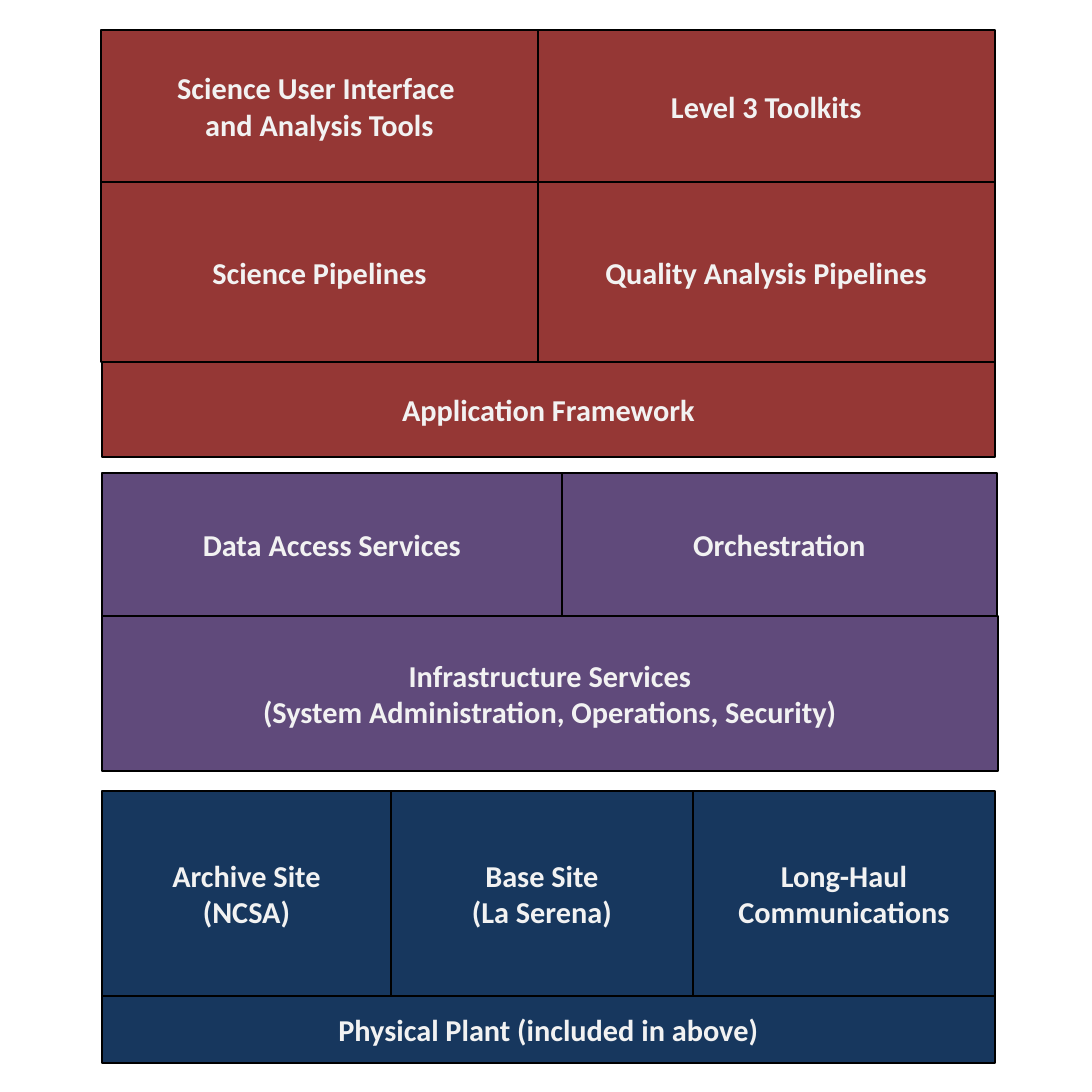
import pptx
import pptx.util
import pptx.dml.color
import pptx.enum.shapes
import pptx.enum.text

SCALE = 914400 / 182  # EMU per px
RED, PURPLE, BLUE = "953735", "604A7B", "17375E"


def px(n):
    return pptx.util.Emu(round(n * SCALE))


def color(code):
    return pptx.dml.color.RGBColor.from_string(code)


deck = pptx.Presentation()
deck.slide_width = deck.slide_height = px(1092)
slide = deck.slides.add_slide(deck.slide_layouts[6])

# Each row: fill, top, bottom, box edges from left to right, labels
rows = [
    # Applications
    (RED, 30, 182, [101, 538, 995],
     ["Science User Interface \nand Analysis Tools", "Level 3 Toolkits"]),
    (RED, 182, 362, [101, 538, 995],
     ["Science Pipelines", "Quality Analysis Pipelines"]),
    (RED, 362, 457, [102, 995], ["Application Framework"]),
    # Middleware
    (PURPLE, 473, 616, [102, 562, 997],
     ["Data Access Services", "Orchestration"]),
    (PURPLE, 616, 771, [102, 998],
     ["Infrastructure Services\n(System Administration, Operations, Security)"]),
    # Sites and plant
    (BLUE, 791, 996, [102, 391, 693, 995],
     ["Archive Site\n(NCSA)", "Base Site\n(La Serena)",
      "Long-Haul\nCommunications"]),
    (BLUE, 996, 1063, [102, 995], ["Physical Plant (included in above)"]),
]

for fill, top, bottom, edges, labels in rows:
    for left, right, label in zip(edges, edges[1:], labels):
        # Box
        box = slide.shapes.add_shape(
            pptx.enum.shapes.MSO_SHAPE.RECTANGLE,
            px(left), px(top), px(right - left), px(bottom - top))
        box.shadow.inherit = False
        box.fill.solid()
        box.fill.fore_color.rgb = color(fill)
        box.line.color.rgb = color("000000")
        box.line.width = pptx.util.Pt(0.75)

        # Label
        frame = box.text_frame
        frame.text = label
        frame.word_wrap = False
        frame.vertical_anchor = pptx.enum.text.MSO_ANCHOR.MIDDLE
        for para in frame.paragraphs:
            para.alignment = pptx.enum.text.PP_ALIGN.CENTER
            for run in para.runs:
                run.font.name = "Calibri"
                run.font.size = pptx.util.Pt(12)
                run.font.bold = True
                run.font.color.rgb = color("F2F2F2")

deck.save("out.pptx")
